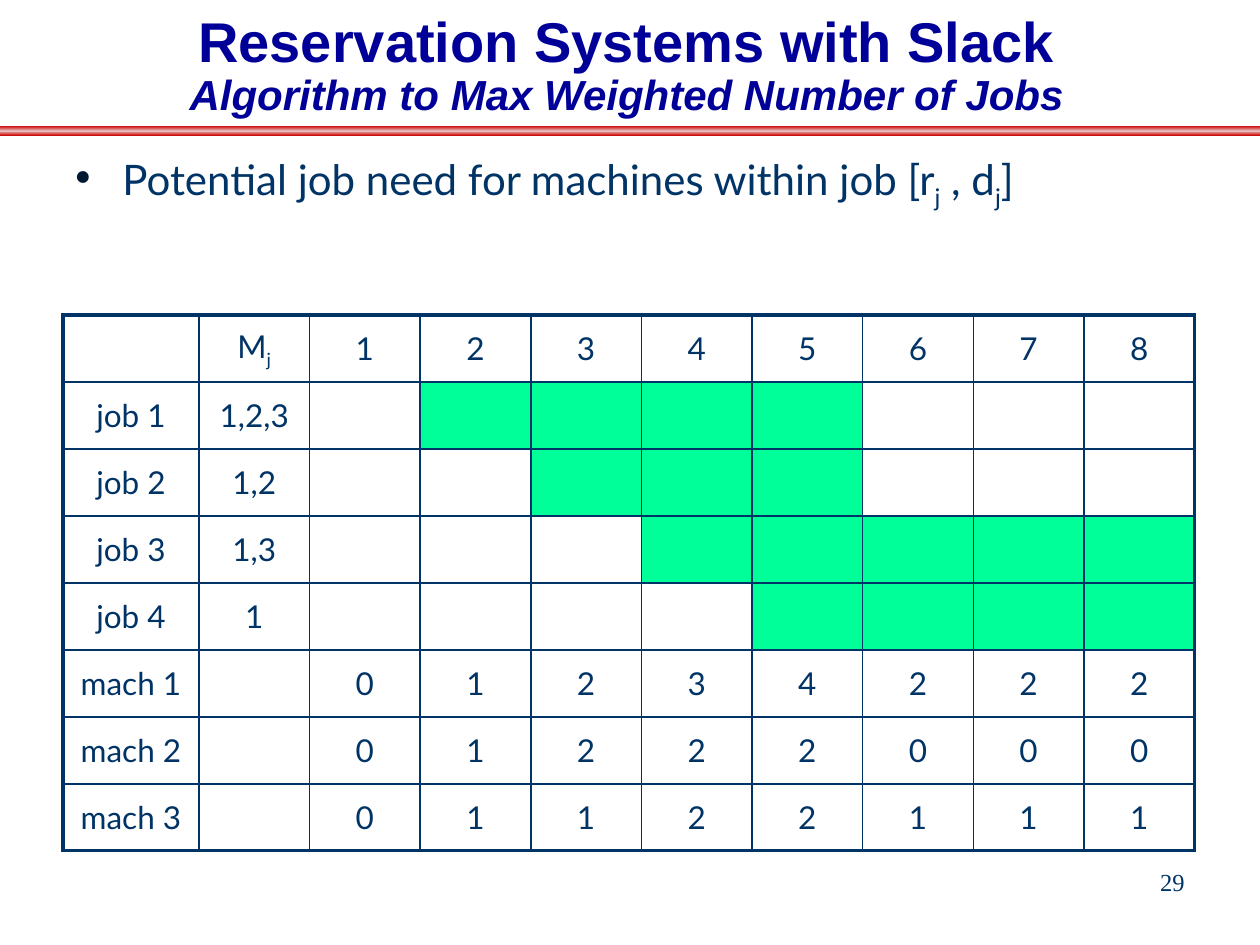
import copy

import pptx
import pptx.dml.color
import pptx.enum.shapes
import pptx.enum.text
import pptx.oxml
import pptx.oxml.ns
import pptx.util
from pptx.util import Cm

NAVY = "003366"
TITLE_BLUE = "000099"
GREEN = "00FF99"
RED = "CC0000"
PALE_RED = "E7BCBC"

TITLE = [("Reservation Systems with Slack", 32, False),
         ("Algorithm to Max Weighted Number of Jobs", 24, True)]
BULLET = [("Potential job need for machines within job [r", False), ("j", True),
          (" , d", False), ("j", True), ("]", False)]
PAGE_NUMBER = "29"
PERIODS = range(1, 9)
JOBS = [("job 1", "1,2,3", 2, 5), ("job 2", "1,2", 3, 5),
        ("job 3", "1,3", 4, 8), ("job 4", "1", 5, 8)]
MACHINES = [("mach 1", [0, 1, 2, 3, 4, 2, 2, 2]),
            ("mach 2", [0, 1, 2, 2, 2, 0, 0, 0]),
            ("mach 3", [0, 1, 1, 2, 2, 1, 1, 1])]

LABEL_WIDTH, COLUMN_WIDTH, ROW_HEIGHT = Cm(2.74), Cm(2.23), Cm(1.35)
THIN, THICK = 1, 2.25


def colour(value):
    return pptx.dml.color.RGBColor.from_string(value)


def style(font, name, size, value):
    font.name = name
    font.size = pptx.util.Pt(size)
    font.color.rgb = colour(value)


def add_spans(para, spans):
    for text, lowered in spans:
        span = para.add_run()
        span.text = text
        if lowered:
            span._r.get_or_add_rPr().set("baseline", "-25000")


def add_box(page, left, top, width, height):
    frame = page.shapes.add_textbox(left, top, width, height).text_frame
    frame.word_wrap = True
    return frame


def add_rule(page):
    rule = page.shapes.add_shape(pptx.enum.shapes.MSO_SHAPE.RECTANGLE,
                                 0, Cm(2.54), Cm(25.4), Cm(0.2))
    rule.shadow.inherit = False
    rule.line.fill.background()
    rule.fill.gradient()
    rule.fill.gradient_angle = 90
    first, last = rule.fill.gradient_stops
    first.color.rgb = last.color.rgb = colour(RED)
    first.position, last.position = 0, 1
    first._gs.addnext(copy.deepcopy(first._gs))
    middle = rule.fill.gradient_stops[1]
    middle.color.rgb = colour(PALE_RED)
    middle.position = 0.5


def add_title(page):
    frame = add_box(page, Cm(0.43), 0, Cm(24.41), Cm(2.54))
    frame.vertical_anchor = pptx.enum.text.MSO_ANCHOR.BOTTOM
    para = frame.paragraphs[0]
    para.alignment = pptx.enum.text.PP_ALIGN.CENTER
    para.line_spacing = 0.9
    for index, (text, size, italic) in enumerate(TITLE):
        if index:
            para.add_line_break()
        span = para.add_run()
        span.text = text
        style(span.font, "Arial", size, TITLE_BLUE)
        span.font.bold = True
        span.font.italic = italic


def add_bullet(page):
    para = add_box(page, Cm(1.27), Cm(2.97), Cm(23.5), Cm(2.21)).paragraphs[0]
    add_spans(para, BULLET)
    props = para._p.get_or_add_pPr()
    props.set("marL", str(Cm(0.95)))
    props.set("indent", str(-Cm(0.95)))
    space = pptx.oxml.ns.nsdecls("a")
    for xml in (f'<a:buClr {space}><a:srgbClr val="001933"/></a:buClr>',
                f'<a:buSzPct {space} val="108000"/>',
                f'<a:buChar {space} char="•"/>'):
        props.append(pptx.oxml.parse_xml(xml))
    style(para.font, "Lato", 24, NAVY)


def set_borders(cell, widths):
    props = cell._tc.get_or_add_tcPr()
    for side, width in zip("LRTB", widths):
        props.append(pptx.oxml.parse_xml(
            f'<a:ln{side} {pptx.oxml.ns.nsdecls("a")} w="{pptx.util.Pt(width)}">'
            f'<a:solidFill><a:srgbClr val="{NAVY}"/></a:solidFill></a:ln{side}>'))


def add_schedule(page):
    plain = lambda value: [(str(value), False)]
    rows = [[[], [("M", False), ("j", True)]] + [plain(period) for period in PERIODS]]
    rows += [[plain(name), plain(allowed)] + [[] for _ in PERIODS]
             for name, allowed, _, _ in JOBS]
    rows += [[plain(name), []] + [plain(need) for need in needs]
             for name, needs in MACHINES]
    busy = {(row, period + 1) for row, (_, _, start, end) in enumerate(JOBS, 1)
            for period in range(start, end + 1)}
    last_row, last_column = len(rows) - 1, len(rows[0]) - 1

    table = page.shapes.add_table(
        len(rows), len(rows[0]), Cm(1.27), Cm(6.35),
        LABEL_WIDTH + last_column * COLUMN_WIDTH, len(rows) * ROW_HEIGHT).table
    table.first_row = table.horz_banding = False
    for index, column in enumerate(table.columns):
        column.width = COLUMN_WIDTH if index else LABEL_WIDTH
    for row, contents in enumerate(rows):
        table.rows[row].height = ROW_HEIGHT
        for column, spans in enumerate(contents):
            cell = table.cell(row, column)
            edges = (column == 0, column == last_column, row == 0, row == last_row)
            set_borders(cell, [THICK if edge else THIN for edge in edges])
            if (row, column) in busy:
                cell.fill.solid()
                cell.fill.fore_color.rgb = colour(GREEN)
            else:
                cell.fill.background()
            cell.vertical_anchor = pptx.enum.text.MSO_ANCHOR.MIDDLE
            para = cell.text_frame.paragraphs[0]
            para.alignment = pptx.enum.text.PP_ALIGN.CENTER
            add_spans(para, spans)
            style(para.font, "Lato", 18, NAVY)


def add_page_number(page):
    para = add_box(page, Cm(18.21), Cm(17.35), Cm(5.92), Cm(1.32)).paragraphs[0]
    para.text = PAGE_NUMBER
    para.alignment = pptx.enum.text.PP_ALIGN.RIGHT
    style(para.font, "Times New Roman", 14, NAVY)


def main():
    deck = pptx.Presentation()
    deck.slide_width, deck.slide_height = Cm(25.4), Cm(19.05)
    page = deck.slides.add_slide(deck.slide_layouts[6])
    add_rule(page)
    add_page_number(page)
    add_bullet(page)
    add_title(page)
    add_schedule(page)
    deck.save("out.pptx")


if __name__ == "__main__":
    main()
